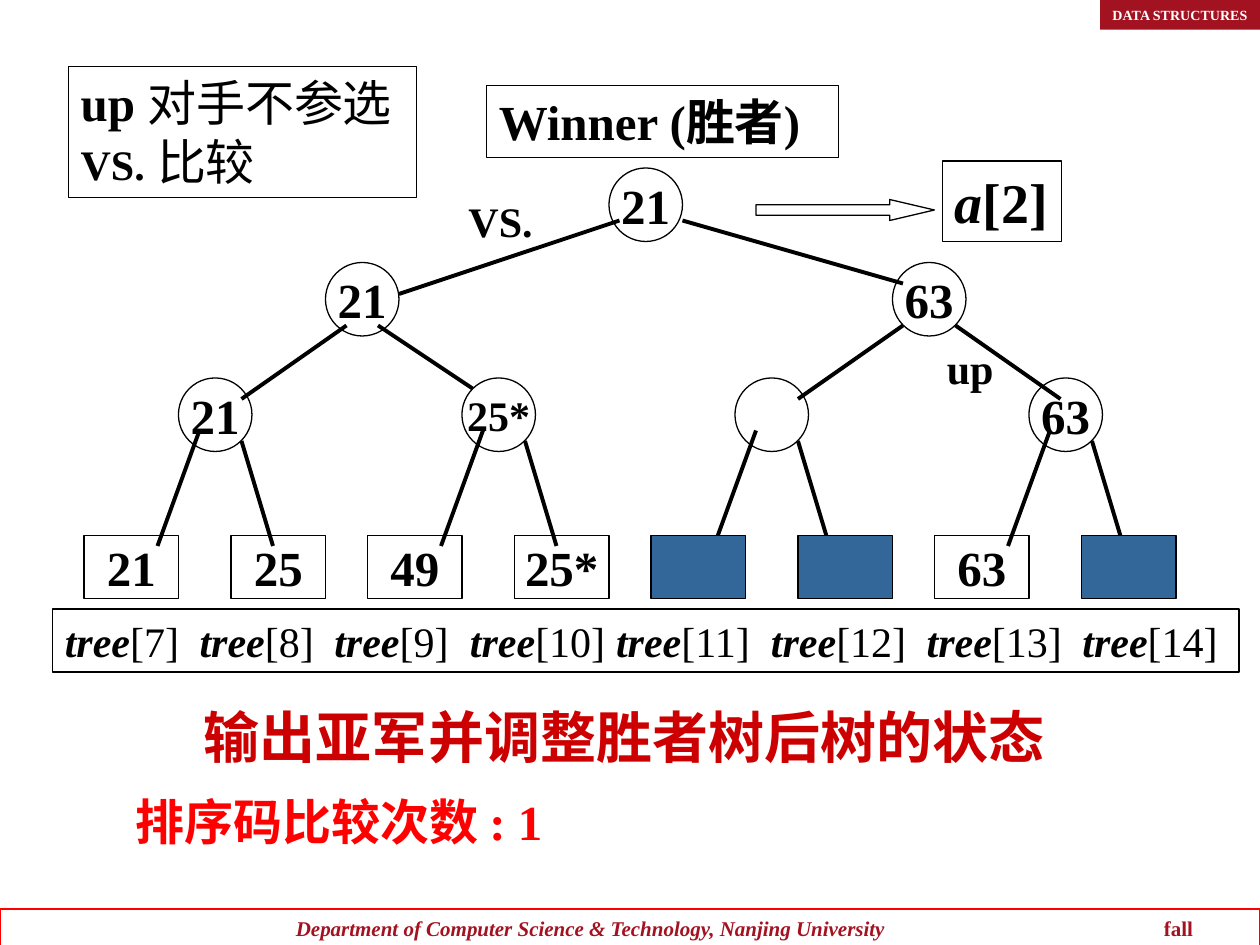
import pptx
import pptx.util
import pptx.dml.color
import pptx.enum.shapes
import pptx.enum.text
import pptx.oxml
import pptx.oxml.ns

Pt = pptx.util.Pt
SHAPES = pptx.enum.shapes.MSO_SHAPE
ALIGN = pptx.enum.text.PP_ALIGN
ANCHOR = pptx.enum.text.MSO_ANCHOR
BLACK = "000000"
CRIMSON = "A31221"
NODE_SIZE = 42
LEAF_WIDTH, LEAF_HEIGHT = 54, 36


def color(value):
    return pptx.dml.color.RGBColor.from_string(value)


def add_box(slide, left, top, width, height, kind=SHAPES.RECTANGLE, fill=None, line=BLACK):
    shape = slide.shapes.add_shape(kind, Pt(left), Pt(top), Pt(width), Pt(height))
    shape.shadow.inherit = False
    if fill:
        shape.fill.solid()
        shape.fill.fore_color.rgb = color(fill)
    else:
        shape.fill.background()
    if line:
        shape.line.color.rgb = color(line)
        shape.line.width = Pt(0.75)
    else:
        shape.line.fill.background()
    return shape


def add_line(slide, start_x, start_y, end_x, end_y):
    connector = slide.shapes.add_connector(
        pptx.enum.shapes.MSO_CONNECTOR.STRAIGHT, Pt(start_x), Pt(start_y), Pt(end_x), Pt(end_y))
    connector.line.color.rgb = color(BLACK)
    connector.line.width = Pt(2.25)
    properties = connector.element.spPr
    properties.append(properties.makeelement(pptx.oxml.ns.qn("a:effectLst"), {}))


def add_tabs(paragraph, positions):
    properties = paragraph._p.get_or_add_pPr()
    tab_list = properties.makeelement(pptx.oxml.ns.qn("a:tabLst"), {})
    for position in positions:
        attributes = {"pos": str(int(Pt(position))), "algn": "l"}
        tab_list.append(tab_list.makeelement(pptx.oxml.ns.qn("a:tab"), attributes))
    properties.append(tab_list)


def write(shape, *paragraphs, size=28, font_color=BLACK, align=ALIGN.LEFT,
          anchor=ANCHOR.TOP, wrap=False, tabs=()):
    frame = shape.text_frame
    frame.word_wrap = wrap
    frame.vertical_anchor = anchor
    for index, runs in enumerate(paragraphs):
        paragraph = frame.add_paragraph() if index else frame.paragraphs[0]
        paragraph.alignment = align
        if tabs:
            add_tabs(paragraph, tabs)
        for text, style in [(runs, {})] if isinstance(runs, str) else runs:
            run = paragraph.add_run()
            run.text = text
            run.font.name = "Times New Roman"
            run.font.size = Pt(style.get("size", size))
            run.font.bold = style.get("bold", True)
            run.font.italic = style.get("italic", False)
            run.font.color.rgb = color(font_color)


def add_label(slide, left, top, width, height, text, **formats):
    label = slide.shapes.add_textbox(Pt(left), Pt(top), Pt(width), Pt(height))
    write(label, text, **formats)


def add_header(slide, left, top, width, height):
    header = add_box(slide, left, top, width, height, fill=CRIMSON, line=None)
    write(header, "DATA STRUCTURES", size=8, font_color="FFFFFF", wrap=True)


def add_footer(slide, left, top, width, height):
    footer = add_box(slide, left, top, width, height, line="FF0000")
    department = "\tDepartment of Computer Science & Technology, Nanjing University"
    write(footer, [(department, {"italic": True}), ("\tfall", {})],
          size=12, font_color=CRIMSON, wrap=True, tabs=(162, 658))


def add_cell(slide, left, top, width, height, text, kind=SHAPES.RECTANGLE, fill=None, size=28):
    cell = add_box(slide, left, top, width, height, kind, fill)
    if text:
        write(cell, text, size=size, align=ALIGN.CENTER, anchor=ANCHOR.MIDDLE)


def add_winner_tree(slide, left, top):
    parents = [(300, 0, "21"), (138, 54, "21"), (462, 54, "63")]
    lowest = [(54, 120, "21"), (216, 120, "25*"), (372, 120, ""), (540, 120, "63")]
    leaves = ["21", "25", "49", "25*", "", "", "63", ""]
    edges = [(342, 30, 468, 66), (306, 30, 180, 72),
             (150, 90, 90, 132), (168, 90, 222, 126),
             (468, 90, 408, 132), (498, 90, 558, 132)]
    for x, y, _ in lowest:
        edges.append((x + 12, y + 30, x - 12, y + 96))
        edges.append((x + 36, y + 36, x + 54, y + 96))
    for start_x, start_y, end_x, end_y in edges:
        add_line(slide, left + start_x, top + start_y, left + end_x, top + end_y)
    for x, y, text in parents + lowest:
        add_cell(slide, left + x, top + y, NODE_SIZE, NODE_SIZE, text,
                 SHAPES.OVAL, size=24 if "*" in text else 28)
    for index, text in enumerate(leaves):
        pair, side = divmod(index, 2)
        add_cell(slide, left + 162 * pair + 84 * side, top + 210, LEAF_WIDTH, LEAF_HEIGHT,
                 text, fill=None if text else "336699")
    add_label(slide, left + 212.6, top + 12, 51, 36, "VS.", size=24)
    add_label(slide, left + 486, top + 96, 41, 36, "up", size=24)


def add_index_row(slide, left, top, width, height):
    row = add_box(slide, left, top, width, height)
    runs = []
    for index in range(7, 15):
        runs.append(("tree", {"italic": True}))
        runs.append((f"[{index}]" + ("\t" if index < 14 else ""), {"bold": False}))
    write(row, runs, size=24, wrap=True, tabs=(77, 154, 231.5, 315, 403.5, 492.5, 581.5))


def add_legend(slide, left, top, width, height):
    legend = add_box(slide, left, top, width, height)
    write(legend,
          [("up ", {}), ("对手不参选", {"bold": False})],
          [("VS.", {"size": 24}), (" 比较", {"bold": False})])


def add_winner(slide, left, top):
    title = add_box(slide, left, top, 201, 41)
    write(title, "Winner (胜者)")
    arrow = add_box(slide, left + 154, top + 65, 102, 12, SHAPES.RIGHT_ARROW)
    arrow.adjustments[0] = 0.5
    arrow.adjustments[1] = 2.13
    result = add_box(slide, left + 260.5, top + 43, 68, 46)
    write(result, [("a", {"italic": True}), ("[2]", {})], size=32)


def add_summary(slide, left, top):
    add_label(slide, left + 39, top, 510, 46, "输出亚军并调整胜者树后树的状态",
              size=32, font_color="CC0000")
    add_label(slide, left, top + 51, 275, 41, "排序码比较次数 : 1", font_color="FF0000")


def main():
    presentation = pptx.Presentation()
    presentation.slide_width = Pt(720)
    presentation.slide_height = Pt(540)
    slide = presentation.slides.add_slide(presentation.slide_layouts[6])
    add_footer(slide, 0, 519.5, 720, 21.6)
    add_header(slide, 628.6, 0, 96, 17)
    add_winner_tree(slide, 48, 96)
    add_index_row(slide, 30, 348, 678, 36)
    add_winner(slide, 278, 49)
    add_legend(slide, 39, 38, 199, 75)
    add_summary(slide, 70.5, 398)
    presentation.save("out.pptx")


if __name__ == "__main__":
    main()
